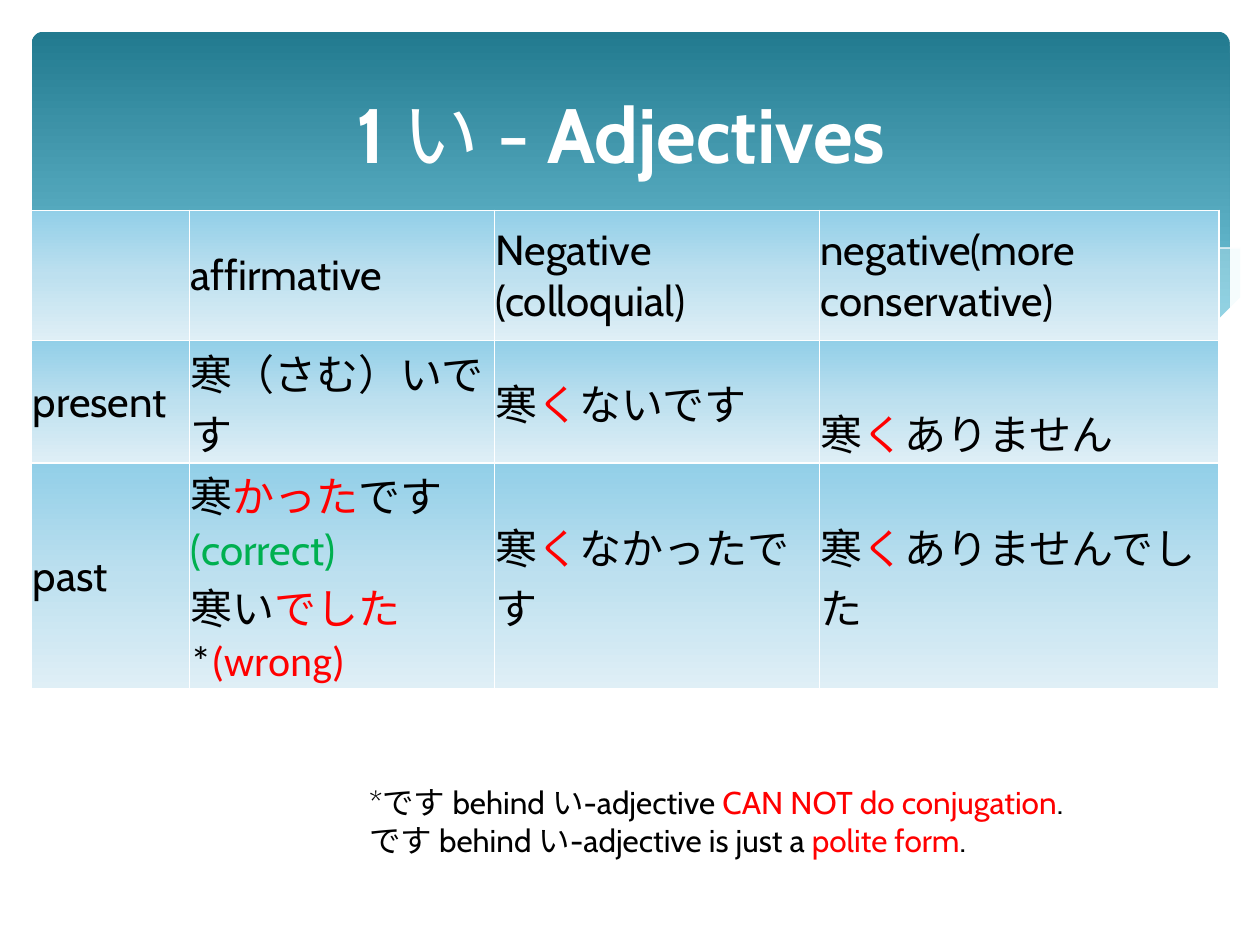
from lxml import etree
from pptx import Presentation
from pptx.dml.color import RGBColor
from pptx.enum.shapes import MSO_SHAPE
from pptx.enum.text import MSO_ANCHOR, PP_ALIGN
from pptx.oxml import parse_xml
from pptx.oxml.ns import nsdecls, qn
from pptx.util import Cm, Pt

ROUND = MSO_SHAPE.ROUNDED_RECTANGLE
MIDDLE, BOTTOM = MSO_ANCHOR.MIDDLE, MSO_ANCHOR.BOTTOM
CENTER = PP_ALIGN.CENTER
FONT, ALT_FONT = "Cabin", "Calibri"
WHITE, BLACK, RED, GREEN = "FFFFFF", "000000", "FF0000", "00B050"
FOAM = "DEF5FA"
BAND_STOPS = [(0, "227A8F"), (90, "7ACBE0")]
CELL_STOPS = [(0, "92CFE8"), (50, "BDE0EF"), (100, "DFEFF6")]

# Wave outlines in cm, measured from the top left of the header band
RIGHT_WAVE = [(24.13, 4.45), (23.11, 4.62), (21.62, 4.85), (19.81, 5.38), (17.88, 5.79),
              (16.15, 6.1), (17.27, 6.25), (18.59, 6.38), (20.04, 6.43), (21.29, 6.35),
              (22.35, 6.2), (23.29, 5.94), (24.13, 5.64)]
LONG_WAVE = [(22.05, 6.3), (20.62, 6.1), (19.05, 5.82), (17.3, 5.46), (15.34, 5),
             (13.82, 4.65), (12.42, 4.39), (10.59, 4.17), (9.02, 4.06), (7.7, 4.11),
             (6.63, 4.22), (8.05, 4.42), (9.63, 4.72), (11.84, 5.26), (13.74, 5.66),
             (15.47, 5.99), (17.02, 6.22), (18.69, 6.4), (20.14, 6.43)]
FALLING_LINE = [(7.21, 4.32), (8.33, 4.17), (9.93, 4.11), (11.79, 4.19), (13.49, 4.37),
                (15.52, 4.65), (17.83, 5.11), (19.56, 5.49), (21.44, 5.99), (22.4, 6.27)]
RISING_LINE = [(14.94, 5.89), (17.02, 5.33), (19.08, 4.85), (21.36, 4.42),
               (22.83, 4.19), (24.13, 4.06)]
WHITE_WAVE = [(24.18, 5.61), (23.24, 5.94), (22.2, 6.2), (20.96, 6.35), (19.51, 6.38),
              (17.81, 6.27), (15.82, 6.02), (13.46, 5.59), (10.72, 4.95), (8.64, 4.5),
              (6.78, 4.19), (5.21, 4.06), (3.86, 4.04), (2.39, 4.11), (1.3, 4.32),
              (0.38, 4.57), (-0.05, 4.78), (-0.05, 7.72), (24.18, 7.72)]

# Each cell is a list of paragraphs, each paragraph a list of runs
KU = ("く", RED)
ROWS = [
    [[], [["affirmative"]], [["Negative"], ["(colloquial)"]], [["negative(more conservative)"]]],
    [[["present"]], [["寒（さむ）いです"]], [["寒", KU, "ないです"]], [["寒", KU, "ありません"]]],
    [[["past"]],
     [["寒", ("かった", RED), "です", ("(correct)", GREEN)],
      ["寒", ("い", BLACK, ALT_FONT), ("でした", RED, ALT_FONT), ("*", BLACK, ALT_FONT),
       ("(wrong)", RED, ALT_FONT)]],
     [["寒", KU, "なかったです"]], [["寒", KU, "ありませんでした"]]],
]
NOTE = [["*です behind い-adjective ", ("CAN NOT do conjugation", RED), "."],
        ["です behind い-adjective is just a ", ("polite form", RED), "."]]


def rgb(color):
    return RGBColor.from_string(color)


def gradient(stops):
    """Return a top-to-bottom gradient fill element."""
    gs = "".join(f'<a:gs pos="{pos * 1000}"><a:srgbClr val="{c}"/></a:gs>' for pos, c in stops)
    return parse_xml(f'<a:gradFill {nsdecls("a")} rotWithShape="1"><a:gsLst>{gs}</a:gsLst>'
                     '<a:lin ang="5400000" scaled="0"/></a:gradFill>')


def add_run(p, text, size, color=BLACK, font=FONT, bold=False):
    r = p.add_run()
    r.text = text
    r.font.size, r.font.name, r.font.bold = Pt(size), font, bold
    r.font.color.rgb = rgb(color)


def add_paragraphs(tf, paragraphs, size):
    for i, runs in enumerate(paragraphs):
        p = tf.paragraphs[0] if i == 0 else tf.add_paragraph()
        for run in runs:
            add_run(p, run[0], size, *run[1:]) if isinstance(run, tuple) else add_run(p, run, size)


def add_wave(shapes, left, top, points, fill=None, alpha=100):
    """Draw a filled wave, or an open white line when there is no fill."""
    pts = [(left + x, top + y) for x, y in points]
    builder = shapes.build_freeform(*pts[0], scale=Cm(1))
    builder.add_line_segments(pts[1:], close=fill is not None)
    sp = builder.convert_to_shape()
    sp.shadow.inherit = False
    if fill is None:
        sp.fill.background()
        sp.line.color.rgb = rgb(WHITE)
        sp.line.width = Pt(0)
        return
    sp.line.fill.background()
    sp.fill.solid()
    sp.fill.fore_color.rgb = rgb(fill)
    if alpha < 100:
        clr = sp._element.spPr.find(qn("a:solidFill"))[0]
        etree.SubElement(clr, qn("a:alpha")).set("val", str(alpha * 1000))


def add_header(s, left, top, width, height):
    # Gradient band
    band = s.shapes.add_shape(ROUND, Cm(left), Cm(top), Cm(width), Cm(height))
    band.adjustments[0] = 0.034
    band.shadow.inherit = False
    band.line.fill.background()
    band._element.spPr.find(qn("a:prstGeom")).addnext(gradient(BAND_STOPS))
    # Waves along its foot
    shapes = s.shapes.add_group_shape().shapes
    add_wave(shapes, left, top, RIGHT_WAVE, FOAM, 29)
    add_wave(shapes, left, top, LONG_WAVE, FOAM, 40)
    add_wave(shapes, left, top, FALLING_LINE)
    add_wave(shapes, left, top, RISING_LINE)
    add_wave(shapes, left, top, WHITE_WAVE, WHITE)


def format_cell(cell):
    cell.margin_left = cell.margin_top = cell.margin_right = Cm(0.02)
    cell.margin_bottom = 0
    cell.vertical_anchor = MIDDLE
    tcPr = cell._tc.get_or_add_tcPr()
    for side in "LRTB":
        tcPr.append(parse_xml(f'<a:ln{side} {nsdecls("a")} w="12700"><a:solidFill>'
                              f'<a:srgbClr val="{WHITE}"/></a:solidFill></a:ln{side}>'))
    tcPr.append(gradient(CELL_STOPS))


def add_conjugation_table(s, left, top, width, height):
    table = s.shapes.add_table(3, 4, Cm(left), Cm(top), Cm(width), Cm(height)).table
    table.first_row = table.horz_banding = False
    for column, w in zip(table.columns, (3.18, 6.15, 6.55, 8.05)):
        column.width = Cm(w)
    for row, h in zip(table.rows, (2.62, 1.3, 1.3)):
        row.height = Cm(h)
    for i, row in enumerate(ROWS):
        for j, paragraphs in enumerate(row):
            cell = table.cell(i, j)
            format_cell(cell)
            add_paragraphs(cell.text_frame, paragraphs, 24)
    table.cell(1, 3).vertical_anchor = BOTTOM


def place_title(s, left, top, width, height):
    title = s.shapes.title
    title.left, title.top, title.width, title.height = Cm(left), Cm(top), Cm(width), Cm(height)
    s.shapes._spTree.append(title._element)  # bring in front of the band
    tf = title.text_frame
    tf.vertical_anchor = MIDDLE
    p = tf.paragraphs[0]
    p.alignment = CENTER
    for text, bold in (("1 ", True), ("い - ", False), ("Adjectives ", True)):
        add_run(p, text, 44, WHITE, bold=bold)


def add_note(s, left, top, width, height):
    tf = s.shapes.add_textbox(Cm(left), Cm(top), Cm(width), Cm(height)).text_frame
    tf.word_wrap = True
    add_paragraphs(tf, NOTE, 18)
    for p in tf.paragraphs:
        p.level = 1
        p._p.get_or_add_pPr().set("marL", str(Cm(1.27)))


def main():
    prs = Presentation()
    prs.slide_width, prs.slide_height = Cm(25.4), Cm(19.05)
    s = prs.slides.add_slide(prs.slide_layouts[5])
    add_header(s, 0.64, 0.64, 24.15, 6.86)
    add_conjugation_table(s, 0.64, 4.24, 23.93, 5.22)
    place_title(s, 1.27, 0.94, 22.86, 3.48)
    add_note(s, 5.92, 15.67, 16.94, 1.8)
    prs.save("out.pptx")


if __name__ == "__main__":
    main()
